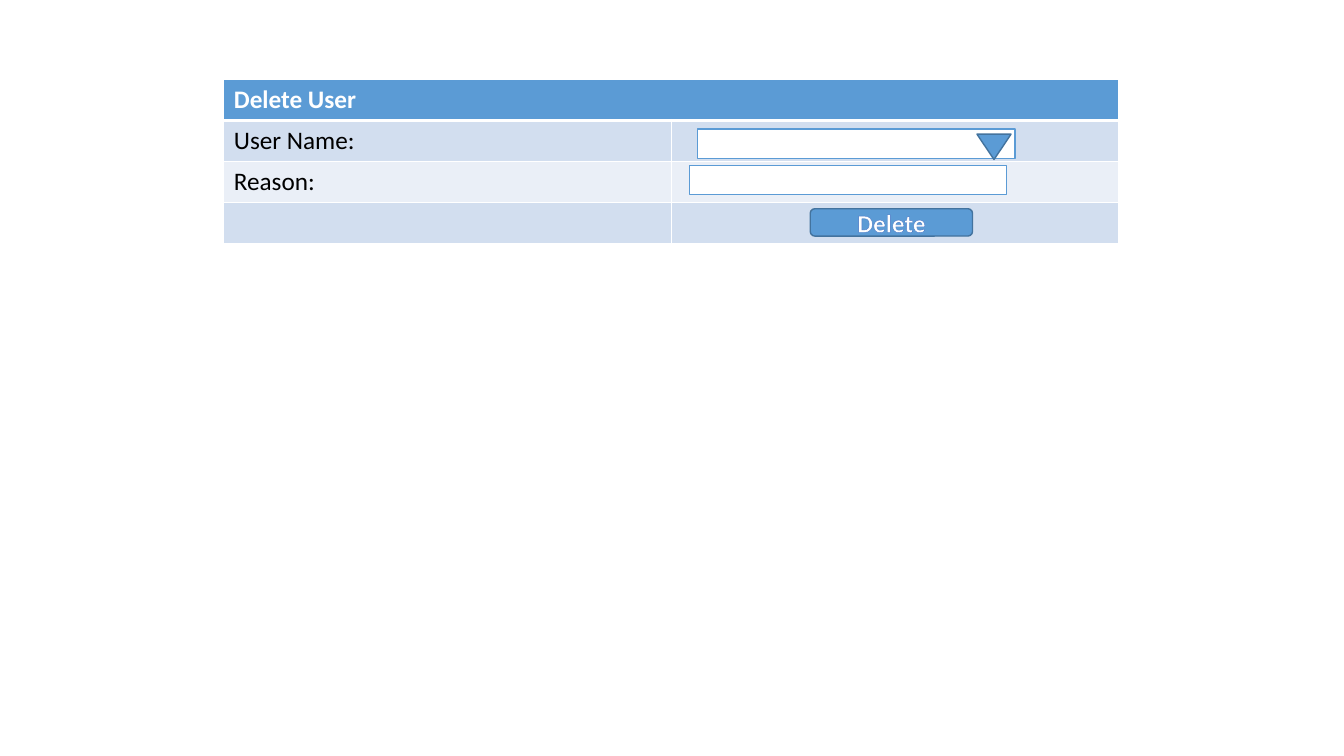
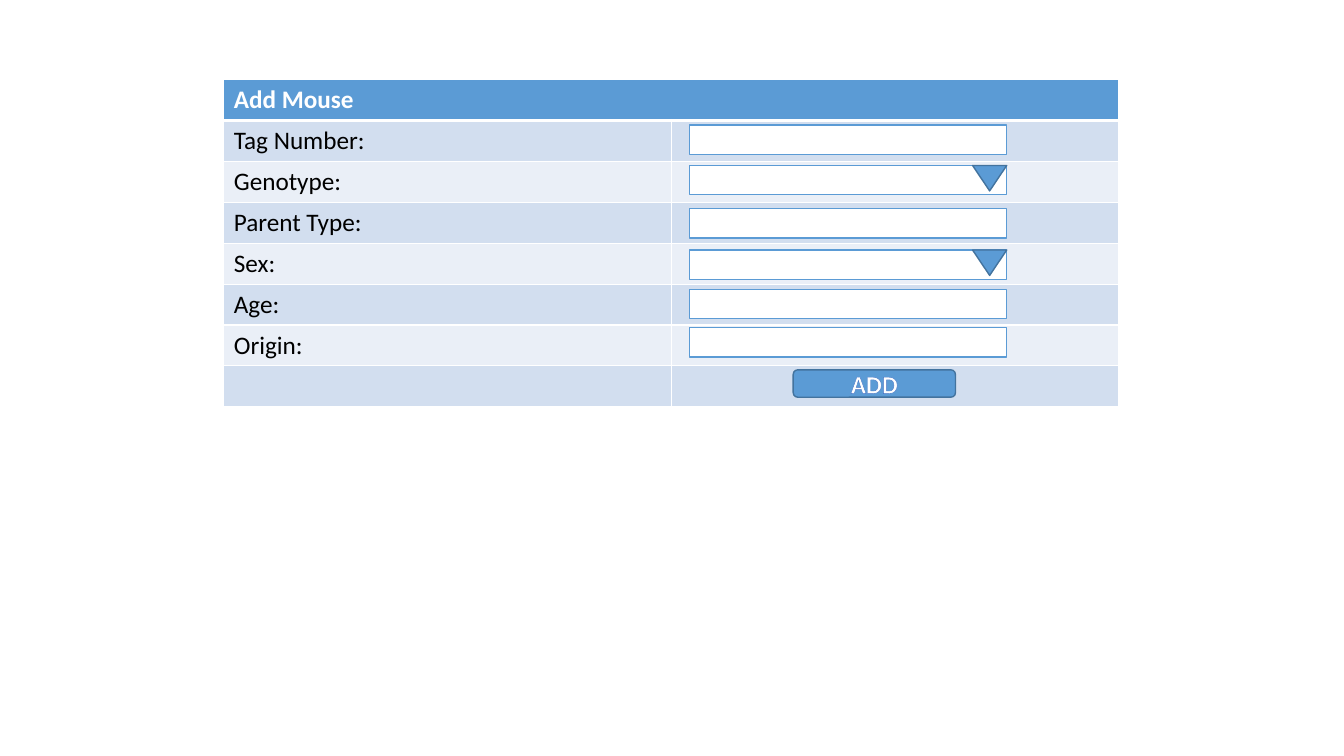
"""Build two form mock-up slides: delete a user and add a mouse."""
from dataclasses import dataclass
from typing import Optional

from lxml.etree import SubElement
from pptx import Presentation
from pptx.dml.color import RGBColor
from pptx.enum.shapes import MSO_SHAPE
from pptx.enum.text import MSO_ANCHOR, PP_ALIGN
from pptx.oxml.ns import qn
from pptx.util import Cm, Pt

BLUE, DARK_BLUE, OUTLINE = "5B9BD5", "43739E", "4472C4"
WHITE, BLACK = "FFFFFF", "000000"
BANDS = ("D2DEEF", "EAEFF7")
FONT = "Calibri"

TABLE_X, TABLE_Y, COL_W, ROW_H = 5.64, 2.01, 11.28, 1.03
FIELD_X, FIELD_W, FIELD_H = 17.37, 8.0, 0.74
ARROW_W, ARROW_H = 0.86, 0.64
BUTTON_W, BUTTON_H = 4.09, 0.69


@dataclass
class Field:
    """A labelled input, with an arrow offset if it is a drop-down."""
    label: str
    y: float
    x: float = FIELD_X
    arrow: Optional[tuple[float, float]] = None


@dataclass
class Form:
    """A form with its title, fields and submit button."""
    title: str
    fields: list[Field]
    button: str
    button_x: float
    button_y: float


FORMS = [
    Form("Delete User", [
        Field("User Name:", 3.25, x=17.58, arrow=(7.04, 0.13)),
        Field("Reason:", 4.17),
    ], "Delete", 20.42, 5.26),
    Form("Add Mouse", [
        Field("Tag Number:", 3.15),
        Field("Genotype:", 4.17, arrow=(7.14, 0)),
        Field("Parent Type:", 5.26),
        Field("Sex:", 6.3, arrow=(7.14, 0)),
        Field("Age:", 7.29),
        Field("Origin:", 8.26),
    ], "ADD", 19.99, 9.32),
]


def rgb(color: str) -> RGBColor:
    """Turn a hex string into a colour."""
    return RGBColor.from_string(color)


def add_line(parent, tag: str, color: str, width: float):
    """Append a solid line element to an XML parent."""
    ln = SubElement(parent, qn(tag), w=str(int(Pt(width))))
    fill = SubElement(ln, qn("a:solidFill"))
    SubElement(fill, qn("a:srgbClr"), val=color)
    return ln


def write(tf, text: str, *, color: str = BLACK, bold: bool = False,
          align=PP_ALIGN.LEFT, outline: Optional[str] = None) -> None:
    """Write one formatted run into a text frame."""
    p = tf.paragraphs[0]
    p.alignment = align
    r = p.add_run()
    r.text = text
    if outline:
        add_line(r.font._element, "a:ln", outline, 0.8)
    r.font.name, r.font.size, r.font.bold = FONT, Pt(18), bold
    r.font.color.rgb = rgb(color)


def add_box(s, kind, x: float, y: float, w: float, h: float,
            fill: str, line: str):
    """Add a flat filled shape with a thin line."""
    sp = s.shapes.add_shape(kind, Cm(x), Cm(y), Cm(w), Cm(h))
    sp.shadow.inherit = False
    sp.fill.solid()
    sp.fill.fore_color.rgb = rgb(fill)
    sp.line.color.rgb = rgb(line)
    sp.line.width = Pt(1)
    return sp


def style_cell(cell, row: int) -> None:
    """Give a cell its borders and its header or band fill."""
    widths = {"L": 1, "R": 1, "T": 3 if row == 1 else 1,
              "B": 3 if row == 0 else 1}
    tc_pr = cell._tc.get_or_add_tcPr()
    for side, width in widths.items():
        add_line(tc_pr, f"a:ln{side}", WHITE, width)
    cell.fill.solid()
    cell.fill.fore_color.rgb = rgb(BANDS[(row - 1) % 2] if row else BLUE)


def add_form_table(s, form: Form) -> None:
    """Add the table with title, labels and an empty button row."""
    n = len(form.fields) + 2
    tbl = s.shapes.add_table(n, 2, Cm(TABLE_X), Cm(TABLE_Y),
                             Cm(2 * COL_W), Cm(n * ROW_H)).table
    for i, row in enumerate(tbl.rows):
        row.height = Cm(ROW_H)
        for cell in row.cells:
            style_cell(cell, i)
    tbl.cell(0, 0).merge(tbl.cell(0, 1))
    write(tbl.cell(0, 0).text_frame, form.title, color=WHITE, bold=True)
    for i, field in enumerate(form.fields, 1):
        write(tbl.cell(i, 0).text_frame, field.label)


def add_field(s, field: Field) -> None:
    """Add an input box and, for a drop-down, its arrow."""
    add_box(s, MSO_SHAPE.RECTANGLE, field.x, field.y, FIELD_W, FIELD_H,
            WHITE, BLUE)
    if field.arrow:
        dx, dy = field.arrow
        sp = add_box(s, MSO_SHAPE.ISOSCELES_TRIANGLE, field.x + dx,
                     field.y + dy, ARROW_W, ARROW_H, BLUE, DARK_BLUE)
        sp.rotation = 180


def add_button(s, form: Form) -> None:
    """Add the submit button."""
    sp = add_box(s, MSO_SHAPE.ROUNDED_RECTANGLE, form.button_x, form.button_y,
                 BUTTON_W, BUTTON_H, BLUE, DARK_BLUE)
    tf = sp.text_frame
    tf.vertical_anchor = MSO_ANCHOR.MIDDLE
    write(tf, form.button, color=WHITE, bold=True, align=PP_ALIGN.CENTER,
          outline=OUTLINE)


def main() -> None:
    """Draw every form on its own slide and save."""
    prs = Presentation()
    prs.slide_width, prs.slide_height = Cm(33.87), Cm(19.05)
    for form in FORMS:
        s = prs.slides.add_slide(prs.slide_layouts[6])
        add_form_table(s, form)
        add_button(s, form)
        for field in form.fields:
            add_field(s, field)
    prs.save("out.pptx")


if __name__ == "__main__":
    main()
